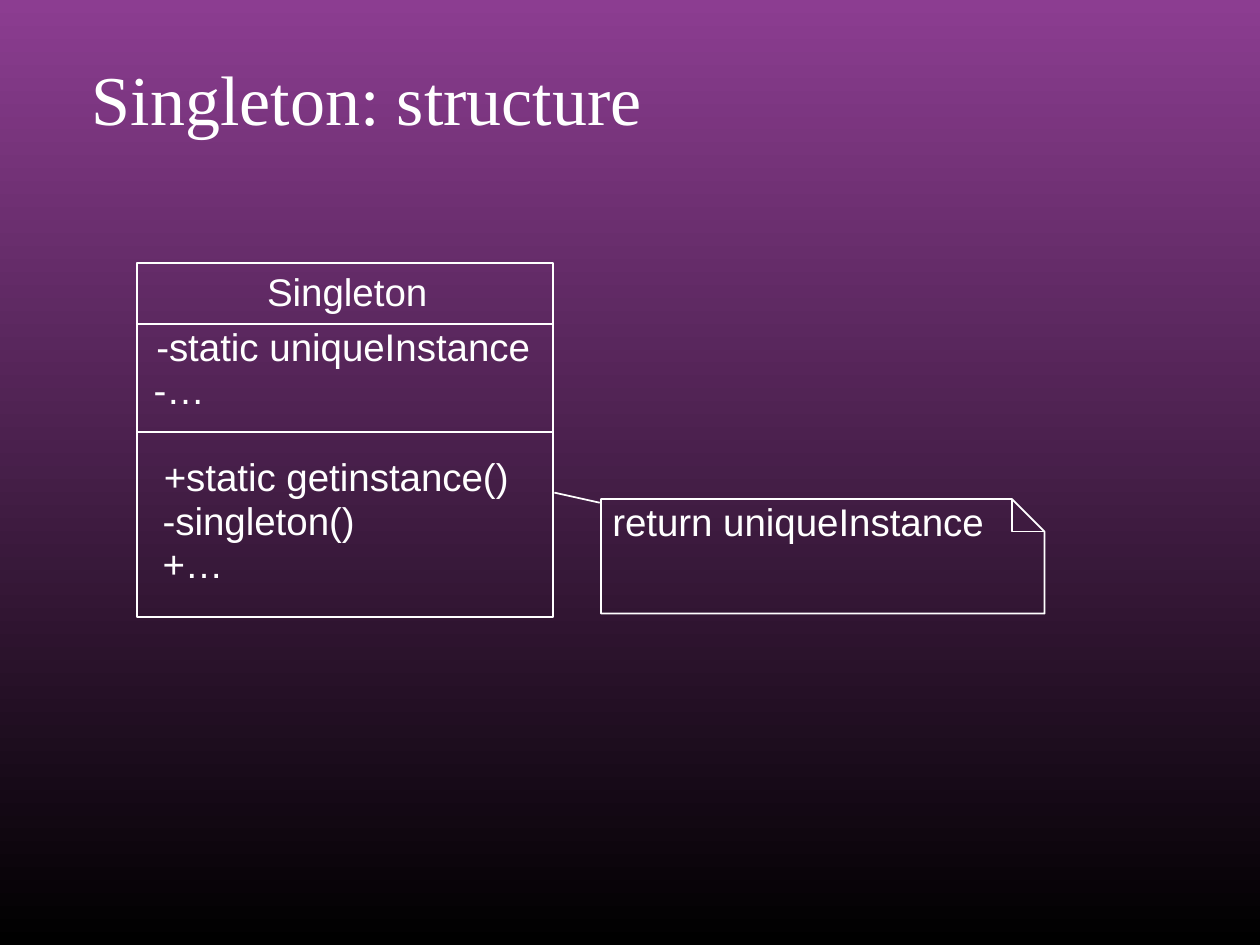
from pptx import Presentation
from pptx.dml.color import RGBColor
from pptx.enum.shapes import MSO_CONNECTOR, MSO_SHAPE
from pptx.enum.text import MSO_ANCHOR, MSO_AUTO_SIZE, PP_ALIGN
from pptx.oxml.ns import qn
from pptx.util import Inches, Pt
from lxml.etree import SubElement

WHITE = RGBColor(0xFF, 0xFF, 0xFF)
BLACK = RGBColor(0, 0, 0)
PURPLE = RGBColor(0x8C, 0x3D, 0x91)
TITLE_FONT = {"name": "Times New Roman", "size": Pt(40), "bold": False}
LABEL_FONT = {"name": "Arial", "size": Pt(22)}
TITLE_FRAME = {
    "word_wrap": True,
    "auto_size": MSO_AUTO_SIZE.NONE,
    "vertical_anchor": MSO_ANCHOR.TOP,
    "margin_left": Inches(0.11),
    "margin_top": Inches(0.06),
    "margin_bottom": 0,
}
LABEL_FRAME = {
    "word_wrap": False,
    "auto_size": MSO_AUTO_SIZE.NONE,
    "vertical_anchor": MSO_ANCHOR.TOP,
    "margin_left": 0,
    "margin_top": 0,
    "margin_right": 0,
    "margin_bottom": 0,
}
LABEL_HEIGHT = 0.33
LABELS = [
    ("Singleton", 2.12, 2.17, 1.3),
    ("-static uniqueInstance", 1.24, 2.61, 2.99),
    ("-…", 1.22, 2.95, 0.43),
    ("+static getinstance()", 1.3, 3.64, 2.76),
    ("-singleton()", 1.29, 3.99, 1.55),
    ("+…", 1.29, 4.33, 0.51),
    ("return uniqueInstance", 4.86, 4, 2.97),
]
CLASS_LEFT, CLASS_TOP, CLASS_WIDTH, CLASS_HEIGHT = 1.09, 2.09, 3.3, 2.81
DIVIDERS = [2.57, 3.43]
NOTE_LEFT, NOTE_TOP, NOTE_RIGHT, NOTE_BOTTOM = 4.77, 3.96, 8.29, 4.87
FOLD = 0.26


def apply_format(target, values):
    for name, value in values.items():
        setattr(target, name, value)


def style_line(shape):
    shape.line.color.rgb = WHITE
    shape.line.width = Pt(1)


def style_outline(shape):
    shape.shadow.inherit = False
    shape.fill.background()
    style_line(shape)


def paint_background(slide):
    fill = slide.background.fill
    fill.gradient()
    fill.gradient_angle = 90
    for stop, position, color in zip(fill.gradient_stops, (0, 1), (BLACK, PURPLE)):
        stop.position = position
        stop.color.rgb = color


def write_text(shape, text, frame_format, font_format):
    frame = shape.text_frame
    frame.text = text
    apply_format(frame, frame_format)
    paragraph = frame.paragraphs[0]
    paragraph.alignment = PP_ALIGN.LEFT
    apply_format(paragraph.font, font_format)
    paragraph.font.color.rgb = WHITE
    return paragraph


def set_title(slide, text):
    title = slide.shapes.title
    apply_format(title, {
        "left": Inches(0.62),
        "top": Inches(0.38),
        "width": Inches(8.74),
        "height": Inches(0.57),
    })
    write_text(title, text, TITLE_FRAME, TITLE_FONT)


def add_label(slide, text, left, top, width):
    box = slide.shapes.add_textbox(*map(Inches, (left, top, width, LABEL_HEIGHT)))
    paragraph = write_text(box, text, LABEL_FRAME, LABEL_FONT)
    paragraph.line_spacing = 0.89


def add_line(slide, start, end):
    connector = slide.shapes.add_connector(
        MSO_CONNECTOR.STRAIGHT, *map(Inches, (*start, *end))
    )
    style_line(connector)
    SubElement(connector.element.spPr, qn("a:effectLst"))


def add_outline(slide, points, close):
    corners = [(Inches(x), Inches(y)) for x, y in points]
    builder = slide.shapes.build_freeform(*corners[0])
    builder.add_line_segments(corners[1:], close=close)
    style_outline(builder.convert_to_shape())


def add_class_box(slide):
    box = slide.shapes.add_shape(
        MSO_SHAPE.RECTANGLE,
        *map(Inches, (CLASS_LEFT, CLASS_TOP, CLASS_WIDTH, CLASS_HEIGHT)),
    )
    style_outline(box)
    for y in DIVIDERS:
        add_line(slide, (CLASS_LEFT, y), (CLASS_LEFT + CLASS_WIDTH, y))


def add_note(slide):
    fold_top = (NOTE_RIGHT - FOLD, NOTE_TOP)
    fold_corner = (NOTE_RIGHT - FOLD, NOTE_TOP + FOLD)
    fold_side = (NOTE_RIGHT, NOTE_TOP + FOLD)
    add_outline(slide, [
        (NOTE_LEFT, NOTE_TOP), fold_top, fold_side,
        (NOTE_RIGHT, NOTE_BOTTOM), (NOTE_LEFT, NOTE_BOTTOM),
    ], True)
    add_outline(slide, [fold_top, fold_corner, fold_side], False)


def main():
    presentation = Presentation()
    presentation.slide_width = Inches(10)
    presentation.slide_height = Inches(7.5)
    slide = presentation.slides.add_slide(presentation.slide_layouts[5])
    paint_background(slide)
    set_title(slide, "Singleton: structure")
    add_class_box(slide)
    add_note(slide)
    for label in LABELS:
        add_label(slide, *label)
    add_line(slide, (4.76, 3.99), (4.4, 3.91))
    presentation.save("out.pptx")


if __name__ == "__main__":
    main()
